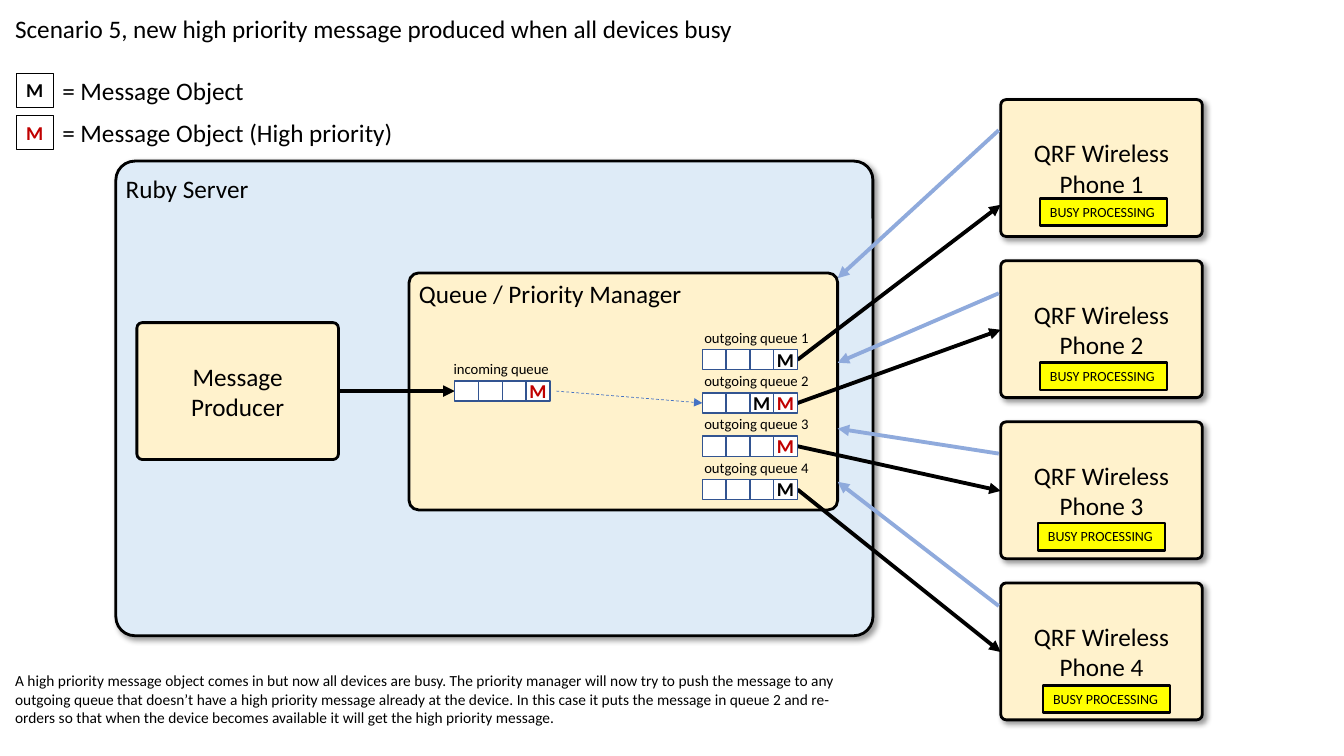
from lxml import etree
from pptx import Presentation
from pptx.dml.color import RGBColor
from pptx.enum.dml import MSO_LINE
from pptx.enum.shapes import MSO_CONNECTOR, MSO_SHAPE
from pptx.enum.text import MSO_ANCHOR, PP_ALIGN
from pptx.oxml import parse_xml
from pptx.oxml.ns import nsdecls, qn
from pptx.util import Cm, Pt

BLACK, RED, WHITE, YELLOW = "000000", "C00000", "FFFFFF", "FFFF00"
CREAM, SKY, NAVY, REPLY_BLUE, MOVE_BLUE = "FFF2CC", "DEEBF7", "325491", "8FAADC", "4472C4"

# Lengths are centimetres; boxes are (left, top, width, height).
SERVER = (2.92, 4.06, 19.08, 11.96)
MANAGER = (10.31, 6.88, 10.8, 5.97)
PRODUCER = (3.45, 8.13, 5.08, 3.45)
PHONE_LEFT, PHONE_TOP, PHONE_STEP = 25.22, 2.51, 4.06
PHONE_SIZE = PRODUCER[2:]
CELL_WIDTH, CELL_HEIGHT, CELL_COUNT = 0.6, 0.51, 4
MARK_SIZE = (0.94, 0.86)
BADGE_SIZE = (3.2, 0.69)
QUEUE_LEFT, QUEUE_TOP, QUEUE_STEP = 17.7, 8.81, 1.09
INCOMING_LEFT, INCOMING_TOP = 11.46, 9.6

HEADINGS = [
    ("Queue / Priority Manager", (10.31, 6.88, 7.67, 1.02)),
    ("Scenario 5, new high priority message produced when all devices busy",
     (0.13, 0.2, 18.82, 1.02)),
    ("Ruby Server", (2.92, 4.24, 3.63, 1.02)),
]
LEGEND = [
    # meaning, mark colour, mark top, text width
    ("= Message Object", BLACK, 1.85, 5.13),
    ("= Message Object (High priority)", RED, 2.92, 8.94),
]
# Marks fill the right-hand cells of each queue.
INCOMING_MARKS = [RED]
DEVICES = [
    # queue marks, delivery end y, reply start y, reply end y, badge position
    ([BLACK], 5.16, 3.28, 7.01, (26.21, 5.0)),
    ([BLACK, RED], 8.31, 7.39, 9.14, (26.21, 9.14)),
    ([RED], 12.37, 11.43, 10.8, (26.16, 13.18)),
    ([BLACK], 16.43, 15.27, 12.14, (26.29, 17.27)),
]
EXPLANATION = (
    "A high priority message object comes in but now all devices are busy. "
    "The priority manager will now try to push the message to any outgoing queue "
    "that doesn’t have a high priority message already at the device. In this case "
    "it puts the message in queue 2 and re-orders so that when the device becomes "
    "available it will get the high priority message.")

presentation = Presentation()
presentation.slide_width, presentation.slide_height = Cm(33.87), Cm(19.05)
slide = presentation.slides.add_slide(presentation.slide_layouts[6])


def rgb(value):
    """Turn a hex string into a colour."""
    return RGBColor.from_string(value)


def write(shape, text, size=18, color=BLACK, bold=False, centred=False, wrap=False):
    """Put formatted text into a shape."""
    frame = shape.text_frame
    frame.word_wrap = wrap
    frame.vertical_anchor = MSO_ANCHOR.MIDDLE if centred else MSO_ANCHOR.TOP
    paragraph = frame.paragraphs[0]
    paragraph.alignment = PP_ALIGN.CENTER if centred else PP_ALIGN.LEFT
    run = paragraph.add_run()
    run.text = text
    font = run.font
    font.name, font.size, font.bold = "Calibri", Pt(size), bold
    font.color.rgb = rgb(color)


def add_text(text, box, **text_format):
    """Add a text box."""
    shape = slide.shapes.add_textbox(*map(Cm, box))
    write(shape, text, **text_format)


def add_box(box, fill=None, line=BLACK, weight=2, rounded=False, shadow=False):
    """Add a plain or rounded rectangle and return it."""
    kind = MSO_SHAPE.ROUNDED_RECTANGLE if rounded else MSO_SHAPE.RECTANGLE
    shape = slide.shapes.add_shape(kind, *map(Cm, box))
    shape.shadow.inherit = False
    if rounded:
        shape.adjustments[0] = 0.04
    if fill:
        shape.fill.solid()
        shape.fill.fore_color.rgb = rgb(fill)
    else:
        shape.fill.background()
    shape.line.color.rgb = rgb(line)
    shape.line.width = Pt(weight)
    if shadow:
        effects = shape._element.spPr.find(qn("a:effectLst"))
        effects.append(parse_xml(
            f'<a:outerShdw {nsdecls("a")} blurRad="{Pt(4)}" dist="{Pt(3)}" dir="2700000" '
            'algn="tl" rotWithShape="0"><a:srgbClr val="000000"><a:alpha val="40000"/>'
            '</a:srgbClr></a:outerShdw>'))
    return shape


def add_arrow(start, end, color=BLACK, weight=2.75, dashed=False):
    """Add a straight arrow from start to end."""
    arrow = slide.shapes.add_connector(MSO_CONNECTOR.STRAIGHT, *map(Cm, start + end))
    arrow.line.color.rgb = rgb(color)
    arrow.line.width = Pt(weight)
    if dashed:
        arrow.line.dash_style = MSO_LINE.DASH
    properties = arrow._element.spPr
    etree.SubElement(properties.find(qn("a:ln")), qn("a:tailEnd"), type="triangle")
    etree.SubElement(properties, qn("a:effectLst"))


def add_queue(label, left, top, marks, label_left, label_width):
    """Add a row of cells, its label and the messages waiting at its right end."""
    for index in range(CELL_COUNT):
        add_box((left + index * CELL_WIDTH, top, CELL_WIDTH, CELL_HEIGHT),
                fill=WHITE, line=NAVY, weight=1)
    add_text(label, (label_left, top - 0.65, label_width, 0.71), size=10.5)
    width, height = MARK_SIZE
    for index, color in enumerate(marks, CELL_COUNT - len(marks)):
        mark_left = left + (index + 0.5) * CELL_WIDTH - width / 2
        mark_top = top + (CELL_HEIGHT - height) / 2
        add_text("M", (mark_left, mark_top, width, height), size=14, color=color, bold=True)


def queue_middle(index):
    """Return the y of the middle of an outgoing queue."""
    return QUEUE_TOP + index * QUEUE_STEP + CELL_HEIGHT / 2


add_box(SERVER, fill=SKY, rounded=True, shadow=True)
for index in range(len(DEVICES)):
    phone = add_box((PHONE_LEFT, PHONE_TOP + index * PHONE_STEP, *PHONE_SIZE),
                    fill=CREAM, rounded=True, shadow=True)
    write(phone, f"QRF Wireless Phone {index + 1}", centred=True, wrap=True)
add_box(MANAGER, fill=CREAM, rounded=True)
producer = add_box(PRODUCER, fill=CREAM, rounded=True)
write(producer, "Message Producer", centred=True, wrap=True)

queue_right = QUEUE_LEFT + CELL_COUNT * CELL_WIDTH
manager_right = MANAGER[0] + MANAGER[2]
incoming_middle = INCOMING_TOP + CELL_HEIGHT / 2
add_arrow((PRODUCER[0] + PRODUCER[2], incoming_middle), (INCOMING_LEFT, incoming_middle))
for index, (marks, delivery_y, reply_y, reply_end_y, badge_place) in enumerate(DEVICES):
    add_arrow((queue_right, queue_middle(index)), (PHONE_LEFT, delivery_y))
    add_arrow((PHONE_LEFT - 0.05, reply_y), (manager_right, reply_end_y), color=REPLY_BLUE)
    add_queue(f"outgoing queue {index + 1}", QUEUE_LEFT, QUEUE_TOP + index * QUEUE_STEP,
              marks, label_left=17.5, label_width=3.18)
    badge = add_box((*badge_place, *BADGE_SIZE), fill=YELLOW, weight=1.75)
    write(badge, "BUSY PROCESSING", size=10)

add_queue("incoming queue", INCOMING_LEFT, INCOMING_TOP, INCOMING_MARKS,
          label_left=11.18, label_width=3.05)
add_arrow((14.02, incoming_middle), (QUEUE_LEFT, queue_middle(1)),
          color=MOVE_BLUE, weight=0.5, dashed=True)

for text, box in HEADINGS:
    add_text(text, box)
for meaning, color, top, width in LEGEND:
    mark = add_box((0.41, top, *MARK_SIZE), weight=0.75)
    write(mark, "M", size=14, color=color, bold=True)
    add_text(meaning, (1.32, top - 0.08, width, 1.02))
add_text(EXPLANATION, (0.13, 16.79, 21.89, 1.68), size=11, wrap=True)

presentation.save("out.pptx")
